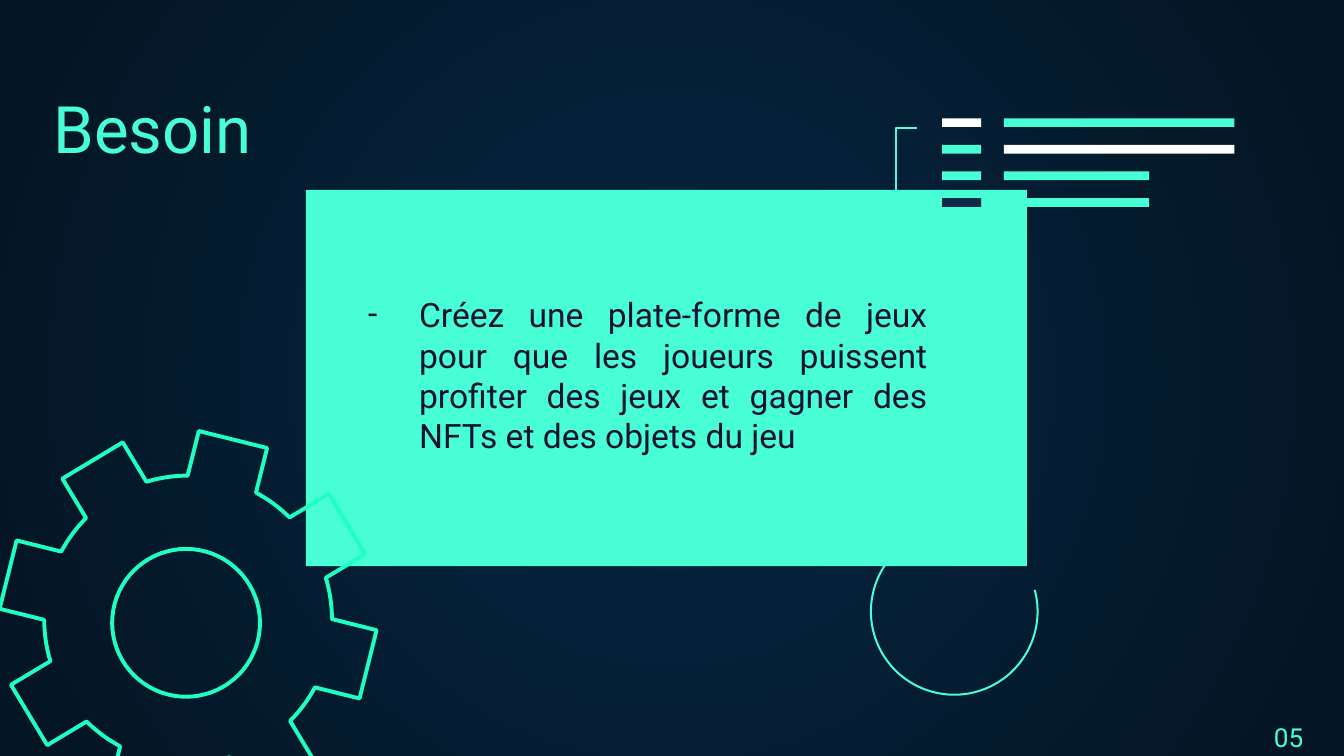
from dataclasses import dataclass
from math import cos, radians, sin

from lxml import etree
from pptx import Presentation
from pptx.dml.color import RGBColor
from pptx.enum.shapes import MSO_SHAPE
from pptx.enum.text import MSO_ANCHOR, PP_ALIGN
from pptx.oxml.ns import qn
from pptx.util import Inches, Pt

RECT = MSO_SHAPE.RECTANGLE
TOP, BOTTOM = MSO_ANCHOR.TOP, MSO_ANCHOR.BOTTOM
LEFT, JUSTIFY = PP_ALIGN.LEFT, PP_ALIGN.JUSTIFY
COLS, ROWS = 100, 56.25
CELL = Inches(0.1)


@dataclass(frozen=True)
class Theme:
    font: str = "Roboto"
    mint: str = "48FFD5"
    gear: str = "1EFFC1"
    white: str = "FFFFFF"
    navy: str = "0E2A47"
    ink: str = "161234"
    glow: str = "052643"
    edge: str = "041523"
    title: float = 35
    body: float = 18
    number: float = 14
    thin: float = 1.09
    thick: float = 2.1


def grid(*cells):
    return [round(c * CELL) for c in cells]


def polar(cx, cy, radius, degrees):
    return cx + radius * cos(radians(degrees)), cy + radius * sin(radians(degrees))


def arc(cx, cy, radius, start, end, steps):
    return [polar(cx, cy, radius, start + (end - start) * i / steps) for i in range(steps + 1)]


def cog(cx, cy, teeth, first, root, tip, half_width):
    points = []
    pitch = 360 / teeth
    for i in range(teeth):
        a = radians(first + i * pitch)
        for depth, side in ((root, -1), (tip, -1), (tip, 1), (root, 1)):
            w = side * half_width
            points.append((cx + depth * cos(a) - w * sin(a), cy + depth * sin(a) + w * cos(a)))
        radius = (root ** 2 + half_width ** 2) ** 0.5
        points += arc(cx, cy, radius, first + i * pitch + 14, first + (i + 1) * pitch - 14, 8)[1:-1]
    return points


class Deck:
    """Draws styled elements on the current slide, measured in grid cells."""

    def __init__(self, theme):
        self.theme = theme
        self.prs = Presentation()
        self.prs.slide_width, self.prs.slide_height = grid(COLS, ROWS)
        self.s = self.prs.slides.add_slide(self.prs.slide_layouts[6])

    def background(self, inner, outer):
        fill = self.s.background.fill
        fill.gradient()
        for stop, color, position in zip(fill.gradient_stops, (inner, outer), (0, 1)):
            stop.color.rgb = RGBColor.from_string(color)
            stop.position = position
        grad = self.s.element.find(".//" + qn("a:gradFill"))
        grad.remove(grad.find(qn("a:lin")))
        path = etree.SubElement(grad, qn("a:path"), path="circle")
        etree.SubElement(path, qn("a:fillToRect"), l="50000", t="50000", r="50000", b="50000")

    def block(self, x, y, w, h, color):
        sp = self.s.shapes.add_shape(RECT, *grid(x, y, w, h))
        sp.shadow.inherit = False
        sp.fill.solid()
        sp.fill.fore_color.rgb = RGBColor.from_string(color)
        sp.line.fill.background()

    def outline(self, contours, color, weight, close=False):
        builder = None
        for contour in contours:
            start, *rest = [grid(*point) for point in contour]
            if builder is None:
                builder = self.s.shapes.build_freeform(*start)
            else:
                builder.move_to(*start)
            builder.add_line_segments(rest, close=close)
        sp = builder.convert_to_shape()
        sp.shadow.inherit = False
        sp.fill.background()
        sp.line.color.rgb = RGBColor.from_string(color)
        sp.line.width = Pt(weight)

    def text(self, x, y, w, h, words, size, color, align=LEFT, anchor=TOP, bullet=None):
        tf = self.s.shapes.add_textbox(*grid(x, y, w, h)).text_frame
        tf.word_wrap = True
        tf.vertical_anchor = anchor
        tf.margin_left = tf.margin_right = tf.margin_top = tf.margin_bottom = CELL
        tf.text = words
        p = tf.paragraphs[0]
        p.alignment = align
        font = p.runs[0].font
        font.name, font.size = self.theme.font, Pt(size)
        font.color.rgb = RGBColor.from_string(color)
        if bullet:
            ppr = p._p.get_or_add_pPr()
            ppr.set("marL", str(Inches(0.5)))
            ppr.set("indent", str(Inches(-0.38)))
            tint = etree.SubElement(ppr, qn("a:buClr"))
            etree.SubElement(tint, qn("a:srgbClr"), val=color)
            etree.SubElement(ppr, qn("a:buFont"), typeface=self.theme.font)
            etree.SubElement(ppr, qn("a:buChar"), char=bullet)


def main():
    t = Theme()
    deck = Deck(t)
    deck.background(t.glow, t.edge)
    deck.block(22.75, 14.13, 53.65, 28, t.mint)
    deck.outline([arc(71, 45.5, 6.2, -15, 233, 72)], t.mint, t.thin)

    gear = cog(14, 46.1, 8, -76, 10.38, 13.8, 2.62)
    hub = arc(13.85, 46.35, 5.5, 0, 360, 72)[:-1]
    deck.outline([gear, hub], t.gear, t.thick, close=True)

    code_lines = [
        (t.white, t.mint, 17.15),
        (t.mint, t.white, 17.15),
        (t.mint, t.mint, 10.8),
        (t.navy, t.mint, 10.8),
    ]
    for i, (tag, bar, width) in enumerate(code_lines):
        y = 8.8 + i * 1.98
        deck.block(70.1, y, 2.9, 0.65, tag)
        deck.block(74.7, y, width, 0.65, bar)
    deck.outline([[(68.3, 15.6), (66.7, 15.6), (66.7, 9.5), (68.2, 9.5)]], t.mint, t.thin)

    deck.text(25.2, 20.9, 44.8, 12.2,
              "Créez une plate-forme de jeux pour que les joueurs puissent profiter "
              "des jeux et gagner des NFTs et des objets du jeu",
              t.body, t.ink, align=JUSTIFY, bullet="-")
    deck.text(3, 6.2, 23.8, 7.2, "Besoin", t.title, t.mint, anchor=BOTTOM)
    deck.text(93.8, 52.7, 6.5, 4.4, "05", t.number, t.mint)
    deck.prs.save("out.pptx")


if __name__ == "__main__":
    main()
